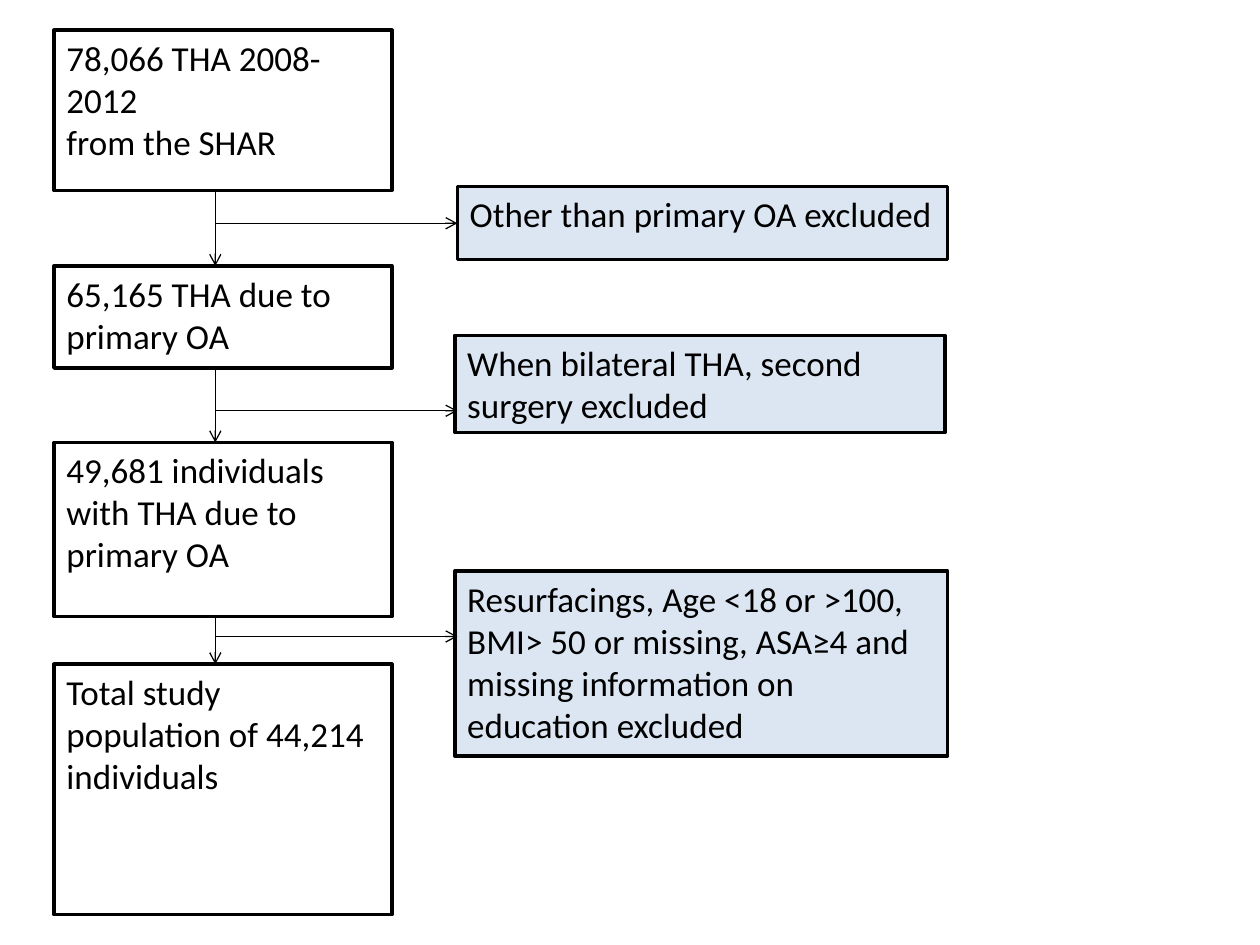
import pptx
import pptx.util
import pptx.dml.color
import pptx.enum.shapes
import pptx.enum.text
import pptx.oxml
import pptx.oxml.ns

Cm = pptx.util.Cm
Pt = pptx.util.Pt
Kind = pptx.enum.shapes.MSO_SHAPE


def tint(code):
    """Turn a hex string into a colour."""
    return pptx.dml.color.RGBColor.from_string(code)


class Chart:
    """Hold the style and the slide of a flow chart."""

    font, size, ink = "Calibri", 20, "000000"
    edge, thin = 2, 0.75

    def __init__(self, slide):
        self.slide = slide

    def box(self, kind, place, fill, lines):
        """Add a framed box with one paragraph per line."""
        shape = self.slide.shapes.add_shape(kind, *map(Cm, place))
        shape.shadow.inherit = False
        shape.fill.solid()
        shape.fill.fore_color.rgb = tint(fill)
        shape.line.color.rgb = tint(self.ink)
        shape.line.width = Pt(self.edge)
        frame = shape.text_frame
        frame.word_wrap = True
        frame.vertical_anchor = pptx.enum.text.MSO_ANCHOR.TOP
        for i, line in enumerate(lines):
            para = frame.add_paragraph() if i else frame.paragraphs[0]
            para.alignment = pptx.enum.text.PP_ALIGN.LEFT
            run = para.add_run()
            run.text = line
            run.font.name = self.font
            run.font.size = Pt(self.size)
            run.font.color.rgb = tint(self.ink)

    def arrow(self, *ends):
        """Add a thin straight arrow."""
        link = self.slide.shapes.add_connector(
            pptx.enum.shapes.MSO_CONNECTOR.STRAIGHT, *map(Cm, ends))
        link.line.color.rgb = tint(self.ink)
        link.line.width = Pt(self.thin)
        space = pptx.oxml.ns.nsdecls("a")
        props = link.element.spPr
        props.find(pptx.oxml.ns.qn("a:ln")).append(
            pptx.oxml.parse_xml(f'<a:tailEnd {space} type="arrow"/>'))
        props.append(pptx.oxml.parse_xml(f"<a:effectLst {space}/>"))


deck = pptx.Presentation()
deck.slide_width, deck.slide_height = Cm(25.4), Cm(19.05)
chart = Chart(deck.slides.add_slide(deck.slide_layouts[6]))

left, wide, stem, tip = 1.09, 6.81, 4.34, 9.22
rect, step = Kind.RECTANGLE, Kind.FLOWCHART_PROCESS

groups = [
    (rect, 0.61, 3.23, ["78,066 THA 2008-2012", "from the SHAR"]),
    (step, 5.36, 2.06, ["65,165 THA due to primary OA"]),
    (rect, 8.92, 3.51, ["49,681 individuals with THA due to primary OA"]),
    (step, 13.39, 5.05, ["Total study population of 44,214 individuals"]),
]
drops = [
    (step, (9.22, 3.76, 9.88, 1.47), 4.5, "Other than primary OA excluded"),
    (rect, (9.17, 6.76, 9.88, 1.96), 8.28,
     "When bilateral THA, second surgery excluded"),
    (step, (9.17, 11.51, 9.93, 3.73), 12.83,
     "Resurfacings, Age <18 or >100, BMI> 50 or missing, ASA≥4 and "
     "missing information on education excluded"),
]

for kind, top, high, lines in groups:
    chart.box(kind, (left, top, wide, high), "FFFFFF", lines)
for kind, place, level, text in drops:
    chart.box(kind, place, "DCE6F2", [text])
    chart.arrow(stem, level, tip, level)
for above, below in zip(groups, groups[1:]):
    chart.arrow(stem, above[1] + above[2], stem, below[1])

deck.save("out.pptx")
